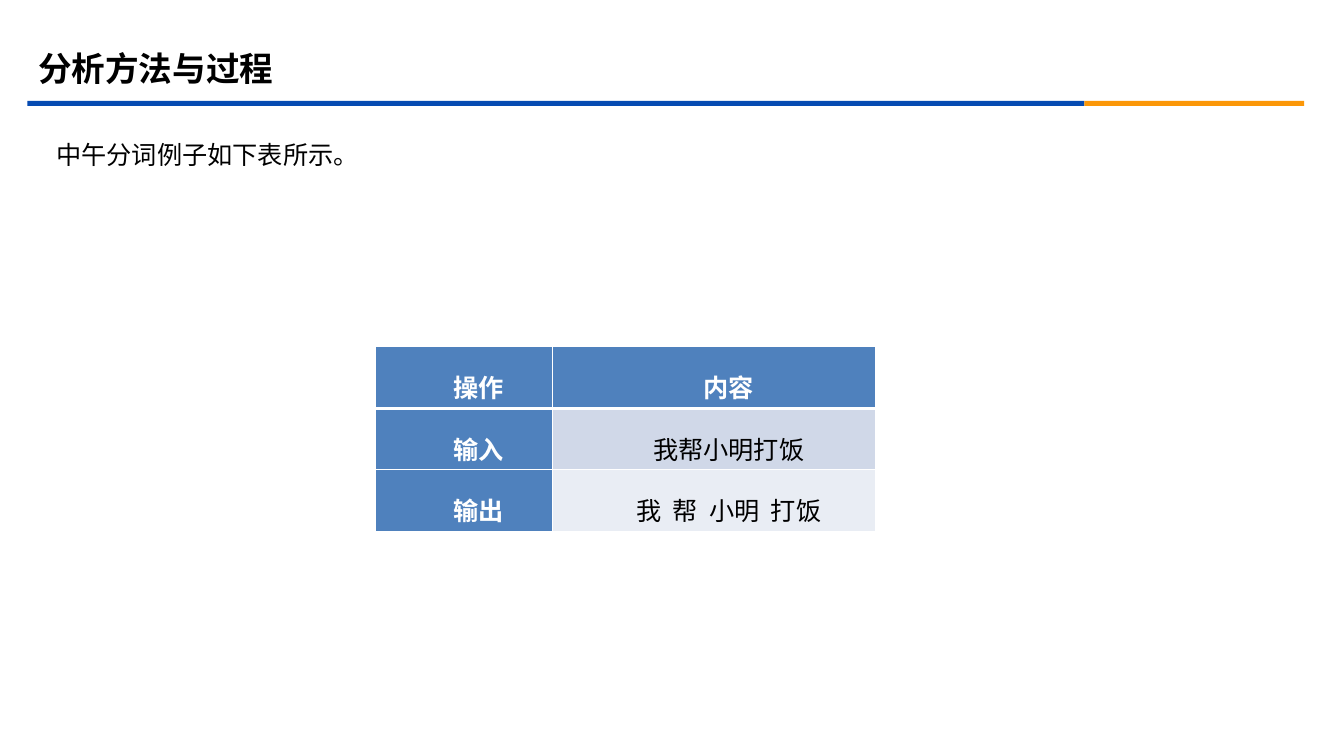
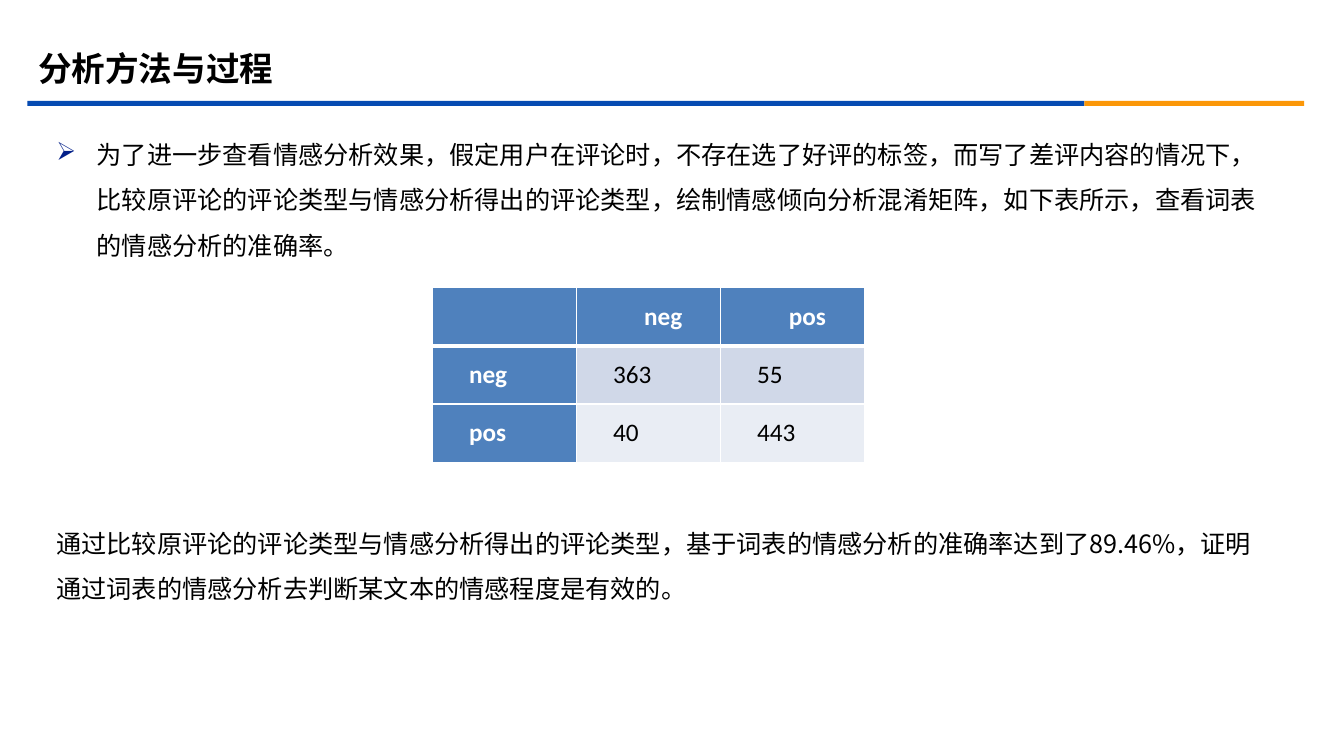
"""Build two slides on text segmentation and sentiment analysis results."""
from dataclasses import dataclass

from lxml.etree import SubElement
from pptx import Presentation
from pptx.dml.color import RGBColor
from pptx.enum.shapes import MSO_SHAPE as Shape
from pptx.enum.text import MSO_ANCHOR as Anchor, PP_ALIGN as Align
from pptx.oxml.ns import qn
from pptx.util import Cm, Pt


@dataclass(frozen=True)
class Theme:
    blue: str = "064BB2"
    orange: str = "FB9708"
    bullet: str = "032089"
    black: str = "000000"
    white: str = "FFFFFF"
    table_head: str = "4F81BD"
    table_bands: tuple = ("D0D8E8", "E9EDF4")
    font: str = "Noto Sans CJK SC"
    table_font: str = "Calibri"
    title_size: float = 24
    body_size: float = 18
    body_leading: float = 32.5
    grid_line: float = 1
    head_line: float = 3


THEME = Theme()
SLIDE_SIZE = (33.87, 19.05)
TITLE_BOX = (0.71, 0.99, 30.48, 1.47)
BAND_LEFT, BAND_TOP, BAND_HEIGHT = 0.69, 2.54, 0.13
BANDS = [(26.64, THEME.blue), (5.54, THEME.orange)]
BODY_LEFT, BODY_WIDTH = 1.17, 30.86
BULLET_INDENT = 1.02
CELL_MARGIN, CELL_INDENT = 0.18, 0.74

SLIDES = [
    {
        "title": "分析方法与过程",
        "texts": [
            {"text": "中午分词例子如下表所示。", "top": 3, "height": 1.5},
        ],
        "table": {
            "rows": [("操作", "内容"), ("输入", "我帮小明打饭"), ("输出", "我  帮  小明  打饭")],
            "at": (9.47, 8.74),
            "columns": (4.45, 8.15),
            "row_height": 1.55,
            "body_align": Align.CENTER,
            "spacing": 1.5,
        },
    },
    {
        "title": "分析方法与过程",
        "texts": [
            {"text": "为了进一步查看情感分析效果，假定用户在评论时，不存在选了好评的标签，"
                     "而写了差评内容的情况下，比较原评论的评论类型与情感分析得出的评论类型，"
                     "绘制情感倾向分析混淆矩阵，如下表所示，查看词表的情感分析的准确率。",
             "top": 3, "height": 3.8, "bullet": "➢"},
            {"text": "通过比较原评论的评论类型与情感分析得出的评论类型，"
                     "基于词表的情感分析的准确率达到了89.46%，"
                     "证明通过词表的情感分析去判断某文本的情感程度是有效的。",
             "top": 12.8, "height": 2.6},
        ],
        "table": {
            "rows": [("", "neg", "pos"), ("neg", "363", "55"), ("pos", "40", "443")],
            "at": (10.9, 7.24),
            "columns": (3.63,) * 3,
            "row_height": 1.47,
            "body_align": Align.JUSTIFY,
            "spacing": 1.0,
        },
    },
]


def rgb(color):
    return RGBColor.from_string(color)


def write_text(frame, text, *, size=THEME.body_size, color=THEME.black, font=THEME.font,
               bold=False, align=Align.LEFT, spacing=1.0, margin=0, indent=0, bullet=None):
    frame.word_wrap = True
    paragraph = frame.paragraphs[0]
    paragraph.alignment = align
    paragraph.line_spacing = spacing
    properties = paragraph._p.get_or_add_pPr()
    properties.set("marL", str(Cm(margin)))
    properties.set("indent", str(Cm(indent)))
    if bullet:
        bullet_color = SubElement(properties, qn("a:buClr"))
        SubElement(bullet_color, qn("a:srgbClr"), val=THEME.bullet)
        SubElement(properties, qn("a:buChar"), char=bullet)
    run = paragraph.add_run()
    run.text = text
    run.font.size = Pt(size)
    run.font.bold = bold
    run.font.color.rgb = rgb(color)
    run.font.name = font
    SubElement(run._r.get_or_add_rPr(), qn("a:ea"), typeface=THEME.font)


def add_frame(slide, left, top, width, height):
    return slide.shapes.add_textbox(Cm(left), Cm(top), Cm(width), Cm(height)).text_frame


def add_header(slide, title):
    left = BAND_LEFT
    for width, color in BANDS:
        band = slide.shapes.add_shape(Shape.RECTANGLE, Cm(left), Cm(BAND_TOP),
                                      Cm(width), Cm(BAND_HEIGHT))
        band.shadow.inherit = False
        band.fill.solid()
        band.fill.fore_color.rgb = rgb(color)
        band.line.fill.background()
        left += width
    frame = add_frame(slide, *TITLE_BOX)
    frame.vertical_anchor = Anchor.MIDDLE
    write_text(frame, title, size=THEME.title_size, bold=True)


def add_body_text(slide, text, top, height, bullet=None):
    margin = BULLET_INDENT if bullet else 0
    write_text(add_frame(slide, BODY_LEFT, top, BODY_WIDTH, height), text,
               spacing=Pt(THEME.body_leading), margin=margin, indent=-margin, bullet=bullet)


def set_borders(cell, row):
    top = THEME.head_line if row == 1 else THEME.grid_line
    bottom = THEME.head_line if row == 0 else THEME.grid_line
    widths = {"lnL": THEME.grid_line, "lnR": THEME.grid_line, "lnT": top, "lnB": bottom}
    properties = cell._tc.get_or_add_tcPr()
    for side, width in widths.items():
        line = SubElement(properties, qn(f"a:{side}"), w=str(Pt(width)))
        fill = SubElement(line, qn("a:solidFill"))
        SubElement(fill, qn("a:srgbClr"), val=THEME.white)


def add_data_table(slide, rows, at, columns, row_height, body_align, spacing):
    left, top = at
    table = slide.shapes.add_table(len(rows), len(columns), Cm(left), Cm(top),
                                   Cm(sum(columns)), Cm(row_height * len(rows))).table
    table.horz_banding = False
    for column, width in zip(table.columns, columns):
        column.width = Cm(width)
    for row, values in enumerate(rows):
        table.rows[row].height = Cm(row_height)
        for column, text in enumerate(values):
            cell = table.cell(row, column)
            is_head = row == 0 or column == 0
            set_borders(cell, row)
            cell.fill.solid()
            cell.fill.fore_color.rgb = rgb(
                THEME.table_head if is_head else THEME.table_bands[(row - 1) % 2])
            cell.vertical_anchor = Anchor.MIDDLE
            cell.margin_left = cell.margin_right = Cm(CELL_MARGIN)
            cell.margin_top = cell.margin_bottom = 0
            write_text(cell.text_frame, text, font=THEME.table_font, bold=is_head,
                       color=THEME.white if is_head else THEME.black,
                       align=Align.CENTER if row == 0 else body_align,
                       spacing=spacing, indent=CELL_INDENT)


def main():
    presentation = Presentation()
    presentation.slide_width, presentation.slide_height = map(Cm, SLIDE_SIZE)
    for content in SLIDES:
        slide = presentation.slides.add_slide(presentation.slide_layouts[6])
        add_header(slide, content["title"])
        for body_text in content["texts"]:
            add_body_text(slide, **body_text)
        add_data_table(slide, **content["table"])
    presentation.save("out.pptx")


if __name__ == "__main__":
    main()
